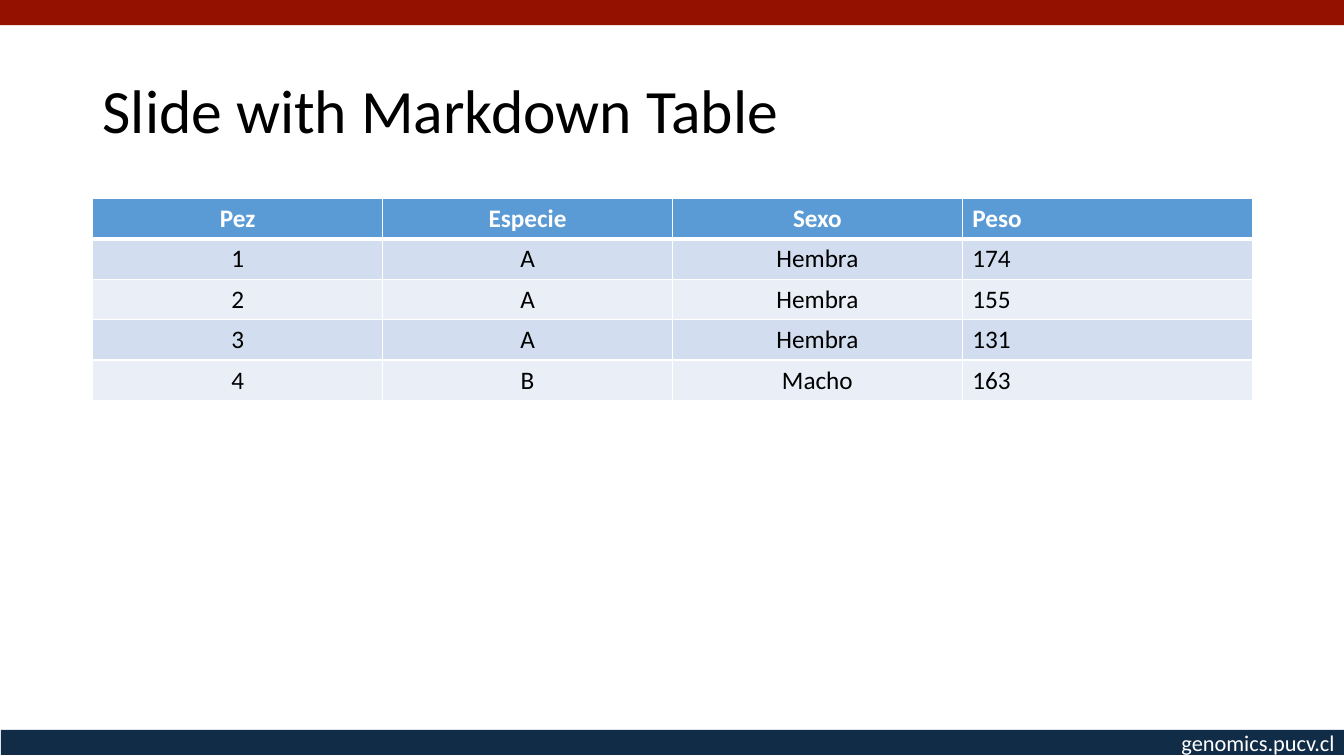
"""Build a slide with a title, a banded table of fish and coloured edge bars."""
import pptx
import pptx.dml.color
import pptx.enum.shapes
import pptx.enum.text
import pptx.oxml.ns
import pptx.util
from lxml import etree

Inches = pptx.util.Inches
Pt = pptx.util.Pt
ALIGN = pptx.enum.text.PP_ALIGN
ANCHOR = pptx.enum.text.MSO_ANCHOR


def paint(target, color):
    """Give a fill a solid colour, or a font its colour."""
    if hasattr(target, "solid"):
        target.solid()
        target = target.fore_color
    else:
        target = target.color
    target.rgb = pptx.dml.color.RGBColor.from_string(color)


def style(para, size, color, bold=False):
    """Set the font of a whole paragraph."""
    para.font.name = "Calibri"
    para.font.size = Pt(size)
    para.font.bold = bold
    paint(para.font, color)


deck = pptx.Presentation()
deck.slide_width = Inches(13.33)
deck.slide_height = Inches(7.5)
page = deck.slides.add_slide(deck.slide_layouts[6])

bar_height = Inches(0.25)
for left, top, color in [(0, 0, "941100"), (0.01, 7.24, "112C47")]:
    bar = page.shapes.add_shape(
        pptx.enum.shapes.MSO_SHAPE.RECTANGLE,
        Inches(left), Inches(top), deck.slide_width, bar_height)
    bar.shadow.inherit = False
    paint(bar.fill, color)
    bar.line.fill.background()

margin = Inches(0.92)
content_width = Inches(11.5)
texts = [
    ("genomics.pucv.cl", 11.62, 7.18, 1.74, 0.37, 16, "FFFFFF", ANCHOR.TOP, False, 1.0),
    ("Slide with Markdown Table", 0.92, 0.4, 11.5, 1.45, 44, "000000", ANCHOR.MIDDLE, True, 0.9),
]
for text, left, top, width, height, size, color, anchor, wrap, spacing in texts:
    box = page.shapes.add_textbox(Inches(left), Inches(top), Inches(width), Inches(height))
    box.text_frame.word_wrap = wrap
    box.text_frame.vertical_anchor = anchor
    para = box.text_frame.paragraphs[0]
    para.text = text
    para.line_spacing = spacing
    style(para, size, color)

rows = [
    ("Pez", "Especie", "Sexo", "Peso"),
    ("1", "A", "Hembra", "174"),
    ("2", "A", "Hembra", "155"),
    ("3", "A", "Hembra", "131"),
    ("4", "B", "Macho", "163"),
]
bands = ["EAEFF7", "D2DEEF"]
table = page.shapes.add_table(
    len(rows), len(rows[0]), margin, Inches(1.97), content_width, Inches(2)).table
for row_index, row in enumerate(rows):
    header = row_index == 0
    for column_index, value in enumerate(row):
        cell = table.cell(row_index, column_index)
        properties = cell._tc.get_or_add_tcPr()
        for side in ("lnL", "lnR", "lnT", "lnB"):
            thick = (row_index, side) in [(0, "lnB"), (1, "lnT")]
            border = etree.SubElement(
                properties, pptx.oxml.ns.qn("a:" + side), w=str(Pt(3 if thick else 1)))
            solid = etree.SubElement(border, pptx.oxml.ns.qn("a:solidFill"))
            etree.SubElement(solid, pptx.oxml.ns.qn("a:srgbClr"), val="FFFFFF")
        paint(cell.fill, "5B9BD5" if header else bands[row_index % 2])
        para = cell.text_frame.paragraphs[0]
        para.text = value
        para.alignment = ALIGN.LEFT if column_index == 3 else ALIGN.CENTER
        style(para, 18, "FFFFFF" if header else "000000", bold=header)

deck.save("out.pptx")
